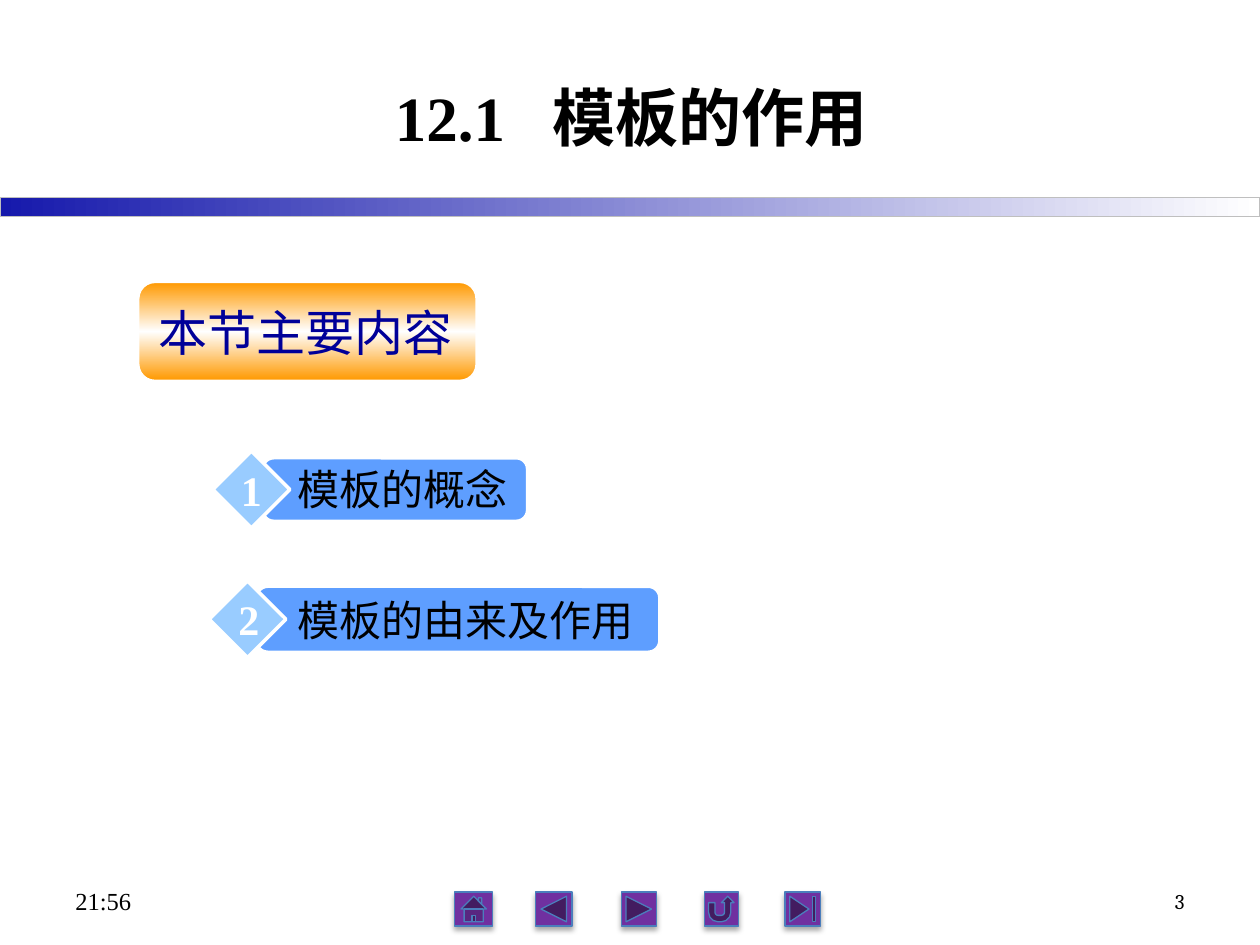
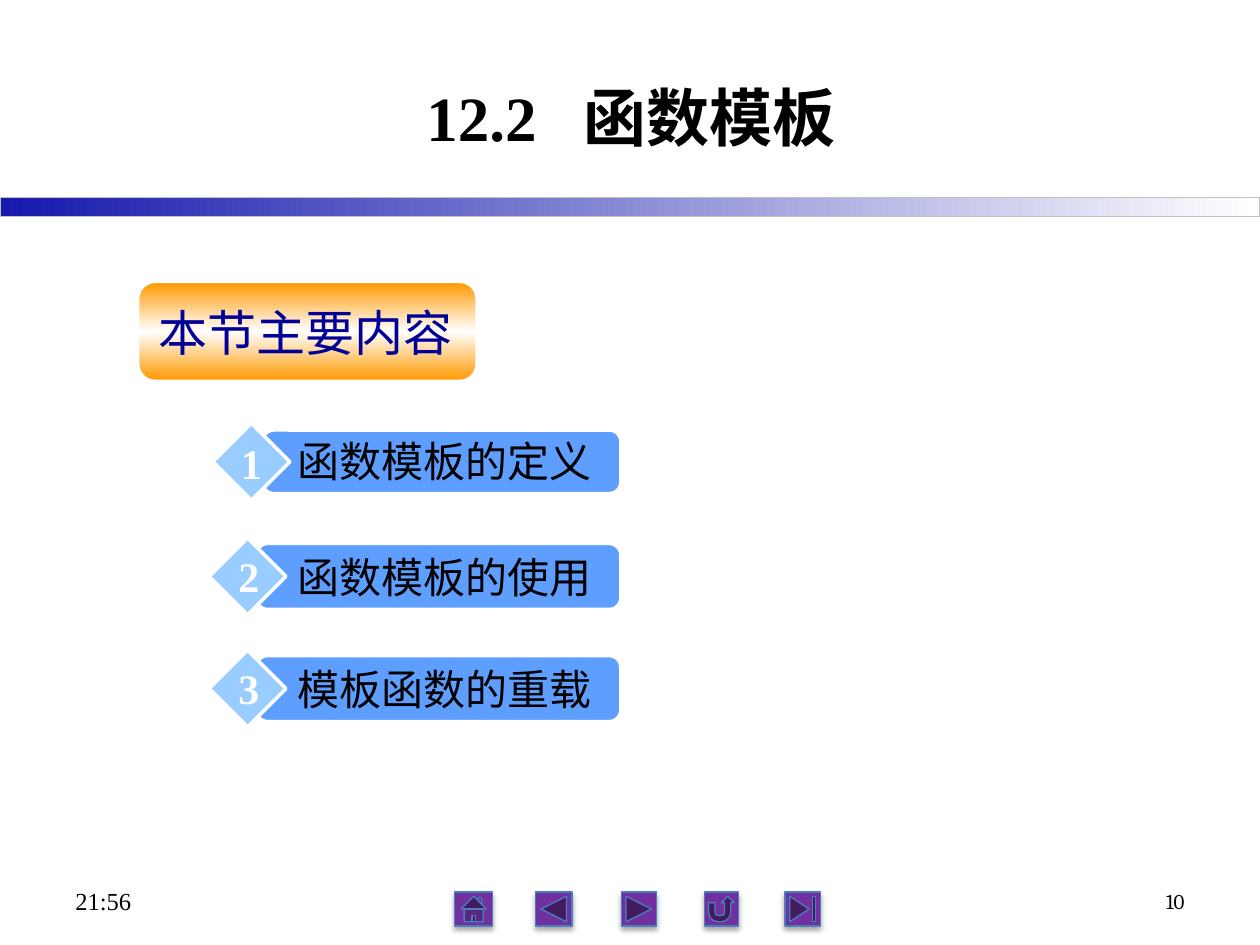
import copy
from dataclasses import dataclass

import pptx
import pptx.dml.color
import pptx.enum.shapes
import pptx.enum.text
import pptx.oxml
import pptx.oxml.ns
import pptx.util

Inches = pptx.util.Inches
Pt = pptx.util.Pt
SHAPE = pptx.enum.shapes.MSO_SHAPE
ALIGN = pptx.enum.text.PP_ALIGN
ANCHOR = pptx.enum.text.MSO_ANCHOR
AUTO_SIZE = pptx.enum.text.MSO_AUTO_SIZE


@dataclass(frozen=True)
class Theme:
    # Colours
    ink: str = "000000"
    white: str = "FFFFFF"
    band_start: str = "1619AC"
    band_line: str = "BFBFBF"
    button: str = "7030A0"
    button_line: str = "4B7EBC"
    heading: str = "000099"
    heading_edge: str = "FF9900"
    bar: str = "5E9EFF"
    diamond: str = "99CCFF"
    # Type
    serif: str = "Times New Roman"
    heading_font: str = "Arial"
    page_font: str = "Cambria"
    chinese: str = "Noto Sans CJK SC"
    title_size: int = 36
    heading_size: int = 28
    item_size: int = 24
    clock_size: int = 14
    page_size: int = 12


THEME = Theme()


@dataclass(frozen=True)
class RowStyle:
    """Lefts and sizes of one agenda row; the drops are measured from the bar top."""
    bar_left: float
    bar_height: float
    diamond_left: float
    diamond_drop: float
    label_drop: float
    label_insets: tuple
    number_left: float
    number_width: float


DEFAULT_INSETS = (0.1, 0.05, 0.1, 0.05)
LOW_INSETS = (0.1, 0.09, 0.1, 0.01)
FIRST_ROW = RowStyle(2.09, 0.49, 1.69, -0.06, -0.05, LOW_INSETS, 1.77, 0.45)
LATER_ROW = RowStyle(2.04, 0.51, 1.66, -0.05, 0.01, DEFAULT_INSETS, 1.79, 0.37)

NAV_BUTTONS = (
    (SHAPE.ACTION_BUTTON_HOME, 3.61, 0.3),
    (SHAPE.ACTION_BUTTON_BACK_OR_PREVIOUS, 4.25, 0.29),
    (SHAPE.ACTION_BUTTON_FORWARD_OR_NEXT, 4.93, 0.28),
    (SHAPE.ACTION_BUTTON_RETURN, 5.59, 0.27),
    (SHAPE.ACTION_BUTTON_END, 6.23, 0.28),
)


def rgb(value):
    return pptx.dml.color.RGBColor.from_string(value)


# Basic elements
def add_figure(slide, kind, box, fill, line, line_width):
    figure = slide.shapes.add_shape(kind, *map(Inches, box))
    figure.shadow.inherit = False
    if fill:
        figure.fill.solid()
        figure.fill.fore_color.rgb = rgb(fill)
    figure.line.color.rgb = rgb(line)
    figure.line.width = Pt(line_width)
    return figure


def set_gradient(figure, colours, angle):
    figure.fill.gradient()
    figure.fill.gradient_angle = angle
    stop_list = figure._element.spPr.find(".//" + pptx.oxml.ns.qn("a:gsLst"))
    while len(stop_list) < len(colours):
        stop_list.append(copy.deepcopy(stop_list[0]))
    for index, (stop, colour) in enumerate(zip(figure.fill.gradient_stops, colours)):
        stop.position = index / (len(colours) - 1)
        stop.color.rgb = rgb(colour)


def add_soft_shadow(figure):
    effects = figure._element.spPr.find(pptx.oxml.ns.qn("a:effectLst"))
    effects.append(pptx.oxml.parse_xml(
        f'<a:outerShdw {pptx.oxml.ns.nsdecls("a")} blurRad="{Pt(3.1)}" dist="{Pt(1.8)}" '
        'dir="5400000" rotWithShape="0"><a:srgbClr val="000000">'
        '<a:alpha val="35000"/></a:srgbClr></a:outerShdw>'))


def add_text(slide, box, text, size, font=THEME.serif, colour=THEME.ink, bold=False,
             align=ALIGN.LEFT, anchor=ANCHOR.TOP, insets=DEFAULT_INSETS, wrap=True):
    frame = slide.shapes.add_textbox(*map(Inches, box)).text_frame
    frame.word_wrap = wrap
    frame.auto_size = AUTO_SIZE.NONE
    frame.vertical_anchor = anchor
    (frame.margin_left, frame.margin_top,
     frame.margin_right, frame.margin_bottom) = map(Inches, insets)
    paragraph = frame.paragraphs[0]
    paragraph.alignment = align
    if text:
        paragraph.add_run().text = text
    paragraph.font.name = font
    paragraph.font.size = Pt(size)
    paragraph.font.bold = bold
    paragraph.font.color.rgb = rgb(colour)
    east_asian = pptx.oxml.parse_xml(
        f'<a:ea {pptx.oxml.ns.nsdecls("a")} typeface="{THEME.chinese}"/>')
    paragraph._p.get_or_add_pPr().find(pptx.oxml.ns.qn("a:defRPr")).append(east_asian)
    return paragraph


# Parts that every slide shares
def add_title(slide, number, name):
    title = add_text(slide, (1.11, 0.3, 7.8, 1.25), "", THEME.title_size, bold=True,
                     align=ALIGN.CENTER, anchor=ANCHOR.MIDDLE)
    for part in (number, " ", name):
        run = title.add_run()
        run.text = part
        if part == " ":
            # Letter spacing widens the gap between number and name
            run._r.get_or_add_rPr().set("spc", "1800")


def add_frame(slide, page):
    band = add_figure(slide, SHAPE.RECTANGLE, (0, 1.57, 10, 0.15), None, THEME.band_line, 0.75)
    set_gradient(band, (THEME.band_start, THEME.white), 0)
    for kind, left, width in NAV_BUTTONS:
        button = add_figure(slide, kind, (left, 7.08, width, 0.27),
                            THEME.button, THEME.button_line, 0.75)
        add_soft_shadow(button)
    add_text(slide, (0.5, 6.95, 2.33, 0.4), "21:56", THEME.clock_size, anchor=ANCHOR.MIDDLE)
    add_text(slide, (7.17, 6.95, 2.33, 0.4), page, THEME.page_size, font=THEME.page_font,
             align=ALIGN.RIGHT, anchor=ANCHOR.MIDDLE)


def add_heading(slide):
    plate = add_figure(slide, SHAPE.ROUNDED_RECTANGLE, (1.1, 2.24, 2.68, 0.78),
                       None, THEME.white, 1)
    set_gradient(plate, (THEME.heading_edge, THEME.white, THEME.heading_edge), 90)
    add_text(slide, (1.16, 2.31, 2.56, 0.57), "本节主要内容", THEME.heading_size,
             font=THEME.heading_font, colour=THEME.heading, insets=LOW_INSETS)


# Agenda rows
def add_agenda_row(slide, number, label, top, bar_right):
    row = FIRST_ROW if number == 1 else LATER_ROW
    add_figure(slide, SHAPE.ROUNDED_RECTANGLE,
               (row.bar_left, top, bar_right - row.bar_left, row.bar_height),
               THEME.bar, THEME.white, 1)
    add_figure(slide, SHAPE.DIAMOND,
               (row.diamond_left, top + row.diamond_drop, 0.61, 0.61),
               THEME.diamond, THEME.white, 2)
    label_width = len(label) * THEME.item_size / 72 + 0.25
    add_text(slide, (2.26, top + row.label_drop, label_width, 0.5), label,
             THEME.item_size, insets=row.label_insets)
    add_text(slide, (row.number_left, top, row.number_width, 0.5), str(number),
             THEME.item_size, colour=THEME.white, bold=True, align=ALIGN.CENTER, wrap=False)


def add_section_slide(deck, page, number, name, agenda):
    slide = deck.slides.add_slide(deck.slide_layouts[6])
    add_frame(slide, page)
    add_title(slide, number, name)
    add_heading(slide)
    for item_number, (label, top, bar_right) in enumerate(agenda, start=1):
        add_agenda_row(slide, item_number, label, top, bar_right)


def main():
    deck = pptx.Presentation()
    deck.slide_width, deck.slide_height = Inches(10), Inches(7.5)
    add_section_slide(deck, "3", "12.1", "模板的作用", (
        ("模板的概念", 3.64, 4.18),
        ("模板的由来及作用", 4.66, 5.23),
    ))
    add_section_slide(deck, "10", "12.2", "函数模板", (
        ("函数模板的定义", 3.42, 4.92),
        ("函数模板的使用", 4.32, 4.92),
        ("模板函数的重载", 5.21, 4.92),
    ))
    deck.save("out.pptx")


if __name__ == "__main__":
    main()
